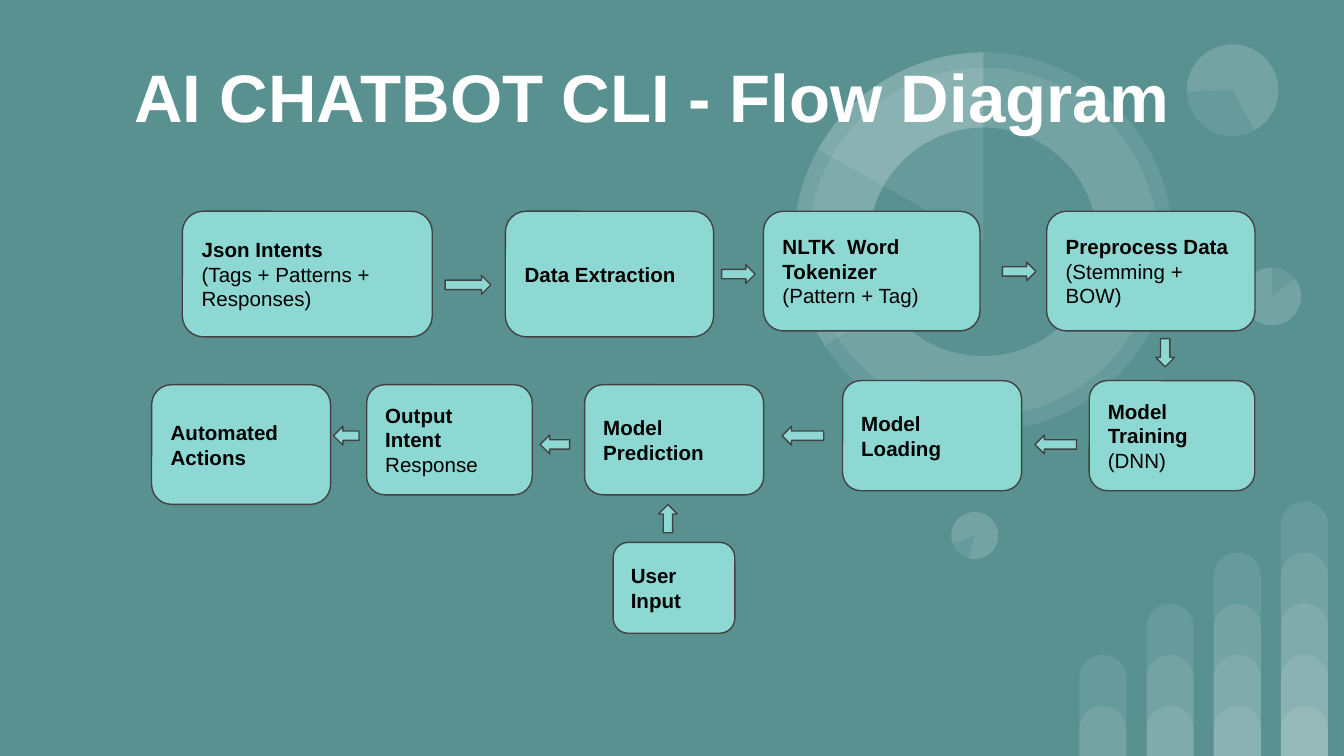
from lxml import etree
from pptx import Presentation
from pptx.dml.color import RGBColor
from pptx.enum.shapes import MSO_SHAPE
from pptx.enum.text import MSO_ANCHOR, PP_ALIGN
from pptx.oxml.ns import qn
from pptx.util import Pt

TEAL = RGBColor(0x59, 0x91, 0x91)
MINT = RGBColor(0x8D, 0xD8, 0xD3)
OUTLINE = RGBColor(0x42, 0x42, 0x42)
WHITE = RGBColor(0xFF, 0xFF, 0xFF)
BLACK = RGBColor(0, 0, 0)
FONT = "Arial"
PAGE_WIDTH, PAGE_HEIGHT = 720, 405

RIGHT, LEFT = MSO_SHAPE.RIGHT_ARROW, MSO_SHAPE.LEFT_ARROW
UP, DOWN = MSO_SHAPE.UP_ARROW, MSO_SHAPE.DOWN_ARROW

# Box (left, top, width, height), then paragraphs of (text, bold) spans
STEPS = [
    ((97.7, 113.2, 133.9, 67.3), [[("Json Intents", True)],
                                  [("(Tags + Patterns + Responses)", False)]]),
    ((270.7, 113.2, 111.6, 67.3), [[("Data Extraction", True)]]),
    ((409, 113.2, 116, 64.1), [[("NLTK  Word Tokenizer", True)],
                               [("(Pattern + Tag)", False)]]),
    ((560.7, 113.2, 111.6, 64.1), [[("Preprocess Data", True)],
                                   [("(Stemming + BOW)", False)]]),
    ((583.5, 203.9, 88.7, 59), [[("Model Training", True)], [("(DNN)", False)]]),
    ((451.4, 203.9, 95.9, 59), [[("Model Loading", True)]]),
    ((313.2, 206.1, 95.9, 59), [[("Model Prediction", True)]]),
    ((196.4, 206.1, 88.7, 59), [[("Output Intent ", True), ("Response", False)]]),
    ((81.2, 206.1, 95.9, 64.1), [[("Automated Actions", True)]]),
    ((328.5, 290.6, 65.2, 48.7), [[("User Input", True)]]),
]

ARROWS = [
    (RIGHT, (238.5, 147.6, 24.5, 10.1)),
    (RIGHT, (386.6, 141.8, 18, 10.1)),
    (RIGHT, (537, 140.4, 18, 10.1)),
    (DOWN, (619.2, 181.4, 10.1, 15.1)),
    (LEFT, (554.4, 233.1, 22.3, 10.1)),
    (LEFT, (419, 228.4, 22.3, 10.1)),
    (LEFT, (289.4, 233.1, 15.8, 10.1)),
    (LEFT, (178.6, 228.4, 13.7, 10.1)),
    (UP, (352.8, 270.3, 10.1, 15.1)),
]

# Small discs (left, top, size, rotation) with the angles of their pie overlay
SMALL_PIES = [
    ((666, 143.3, 31), 0, (193.77, 162)),
    ((509.6, 274.3, 25.2), 196.2, (193.77, 162)),
    ((635.8, 23.8, 49), 215.9, (193.77, 123.14)),
]


def add_plain_shape(page, kind, box, color, opacity=None, adjustments=()):
    shape = page.shapes.add_shape(kind, *[Pt(length) for length in box])
    shape.shadow.inherit = False
    shape.fill.solid()
    shape.fill.fore_color.rgb = color
    shape.line.fill.background()
    for index, value in enumerate(adjustments):
        shape.adjustments[index] = value
    if opacity is not None:
        fill_color = shape._element.spPr.find(qn("a:solidFill"))[0]
        etree.SubElement(fill_color, qn("a:alpha"), val=str(opacity * 1000))
    return shape


def add_glass(page, kind, box, adjustments=(), rotation=0):
    shape = add_plain_shape(page, kind, box, WHITE, 9, adjustments)
    shape.rotation = rotation


def add_outlined(page, kind, box):
    shape = add_plain_shape(page, kind, box, MINT)
    shape.line.color.rgb = OUTLINE
    shape.line.width = Pt(0.75)
    return shape


def write_text(shape, paragraphs, size, color):
    frame = shape.text_frame
    frame.word_wrap = True
    frame.vertical_anchor = MSO_ANCHOR.MIDDLE
    frame.margin_left = frame.margin_right = Pt(7.2)
    frame.margin_top = frame.margin_bottom = Pt(7.2)
    for index, spans in enumerate(paragraphs):
        para = frame.paragraphs[0] if index == 0 else frame.add_paragraph()
        para.alignment = PP_ALIGN.LEFT
        for text, bold in spans:
            span = para.add_run()
            span.text = text
            span.font.name = FONT
            span.font.size = Pt(size)
            span.font.bold = bold
            span.font.color.rgb = color


def add_bars(page, box):
    """Four columns; each stacks one more overlapping bar than the last."""
    left, top, width, height = box
    bar_width, step = 25.2, 27.4
    pitch = (width - bar_width) / 3
    shortest = height - 4 * step
    for column in range(4):
        for level in range(column + 2):
            bar_height = shortest + level * step
            bar = (left + column * pitch, top + height - bar_height,
                   bar_width, bar_height)
            add_glass(page, MSO_SHAPE.ROUND_2_SAME_RECTANGLE, bar, (0.5, 0))


def add_small_pies(page):
    for (left, top, size), rotation, angles in SMALL_PIES:
        box = (left, top, size, size)
        add_glass(page, MSO_SHAPE.OVAL, box, rotation=rotation)
        add_glass(page, MSO_SHAPE.PIE, box, angles, rotation)


def add_ring(page, box):
    left, top, width, height = box

    def inset(gap):
        return left + gap, top + gap, width - 2 * gap, height - 2 * gap

    add_glass(page, MSO_SHAPE.OVAL, box)
    add_glass(page, MSO_SHAPE.OVAL, inset(8.2))
    add_glass(page, MSO_SHAPE.PIE, box, (88.01, 162))
    add_plain_shape(page, MSO_SHAPE.OVAL, inset(40.3), TEAL)
    add_glass(page, MSO_SHAPE.PIE, box, (125.54, 162))


def add_title(page, box):
    title = page.shapes.add_textbox(*[Pt(length) for length in box])
    write_text(title, [[("AI CHATBOT CLI - Flow Diagram", True)]], 36, WHITE)


def add_flow(page):
    for box, paragraphs in STEPS:
        step = add_outlined(page, MSO_SHAPE.ROUNDED_RECTANGLE, box)
        write_text(step, paragraphs, 11, BLACK)
    for kind, box in ARROWS:
        add_outlined(page, kind, box)


def main():
    deck = Presentation()
    deck.slide_width, deck.slide_height = Pt(PAGE_WIDTH), Pt(PAGE_HEIGHT)
    page = deck.slides.add_slide(deck.slide_layouts[6])
    page.background.fill.solid()
    page.background.fill.fore_color.rgb = TEAL

    # Decoration behind the diagram
    add_bars(page, (578.2, 268.6, 133.2, 136.4))
    add_small_pies(page)
    # Faint disc that sits within the ring's lower right
    disc = (601.9, 213.1, 49.7, 49.7)
    add_glass(page, MSO_SHAPE.OVAL, disc, rotation=90)
    add_glass(page, MSO_SHAPE.PIE, disc, (82.45, 162.46), 90)
    add_ring(page, (425.3, 28.1, 203, 203))

    # Heading and flow diagram
    add_title(page, (64.8, 29.5, 577.4, 43.2))
    add_flow(page)
    deck.save("out.pptx")


if __name__ == "__main__":
    main()
